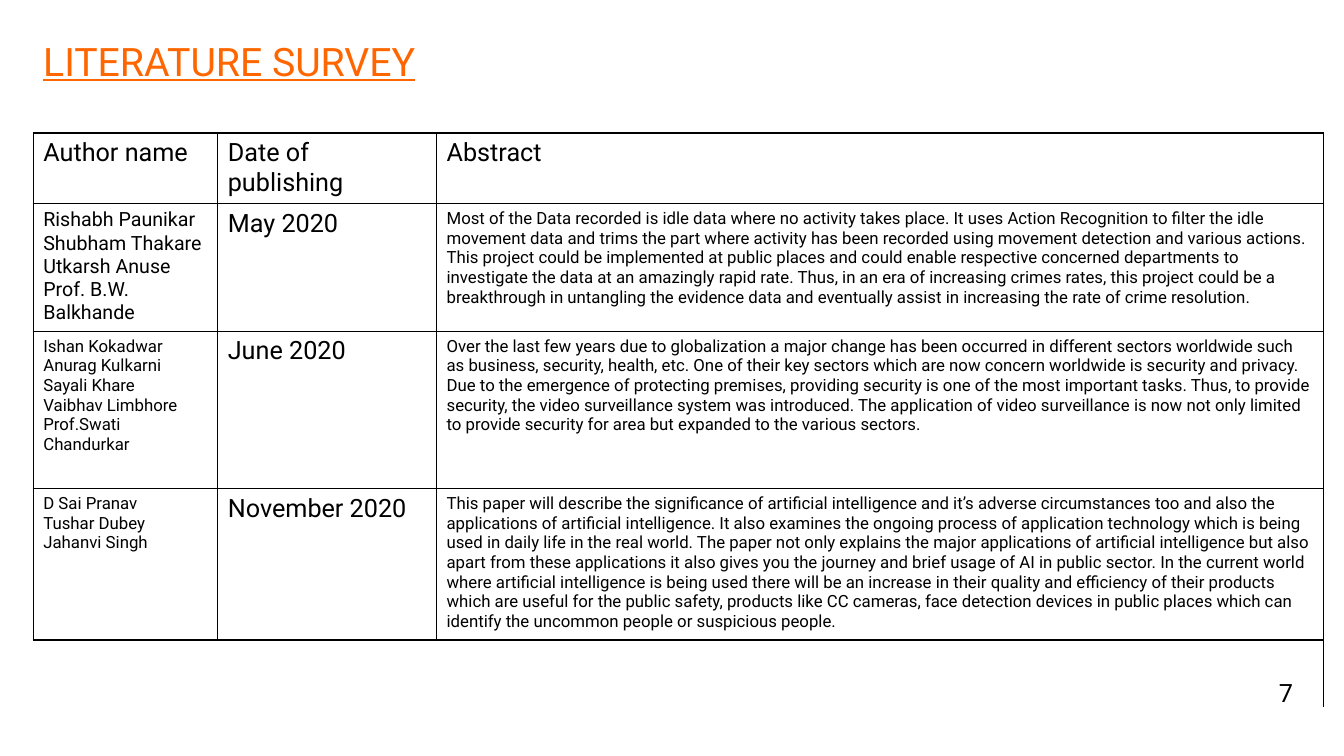
import pptx
import pptx.util
import pptx.dml.color
import pptx.enum.text
import pptx.oxml
import pptx.oxml.ns

Inches, Pt = pptx.util.Inches, pptx.util.Pt
align = pptx.enum.text.PP_ALIGN
theme = {
    "font": "Roboto", "ink": "000000", "accent": "FF6600",
    "title": 28, "head": 18, "name": 14, "body": 12, "rule": 1,
}


def write(frame, lines, size, color=theme["ink"], line=False, **form):
    for i, text in enumerate(lines):
        para = frame.paragraphs[0] if i == 0 else frame.add_paragraph()
        for key, value in form.items():
            setattr(para, key, value)
        run = para.add_run()
        run.text = text
        looks = {"name": theme["font"], "size": Pt(size), "underline": line}
        for key, value in looks.items():
            setattr(run.font, key, value)
        run.font.color.rgb = pptx.dml.color.RGBColor.from_string(color)


def border(cell, sides):
    props = cell._tc.get_or_add_tcPr()
    for side in "LRTB":
        paint = "<a:noFill/>"
        if side in sides:
            paint = f'<a:solidFill><a:srgbClr val="{theme["ink"]}"/></a:solidFill>'
        props.append(pptx.oxml.parse_xml(
            f'<a:ln{side} {pptx.oxml.ns.nsdecls("a")} w="{Pt(theme["rule"])}">'
            f'{paint}</a:ln{side}>'))


deck = pptx.Presentation()
deck.slide_width, deck.slide_height = Inches(13.33), Inches(7.5)
slide = deck.slides.add_slide(deck.slide_layouts[6])

# Title and page number
labels = [
    ((0.33, 0.17, 6.79, 0.92), "LITERATURE SURVEY", theme["title"],
     {"color": theme["accent"], "line": True, "line_spacing": 0.9}),
    ((12.43, 6.67, 0.65, 0.4), "7", theme["head"], {"alignment": align.CENTER}),
]
for place, text, size, form in labels:
    frame = slide.shapes.add_textbox(*map(Inches, place)).text_frame
    frame.word_wrap = True
    frame.vertical_anchor = pptx.enum.text.MSO_ANCHOR.MIDDLE
    write(frame, [text], size, **form)

# Survey content: authors, author type size, date, abstract
papers = [
    (["Rishabh Paunikar", "Shubham Thakare", "Utkarsh Anuse", "Prof. B.W. Balkhande"],
     theme["name"], "May 2020",
     "Most of the Data recorded is idle data where no activity takes place. It uses Action "
     "Recognition to filter the idle movement data and trims the part where activity has been "
     "recorded using movement detection and various actions. This project could be implemented "
     "at public places and could enable respective concerned departments to investigate the "
     "data at an amazingly rapid rate. Thus, in an era of increasing crimes rates, this project "
     "could be a breakthrough in untangling the evidence data and eventually assist in "
     "increasing the rate of crime resolution."),
    (["Ishan Kokadwar", "Anurag Kulkarni", "Sayali Khare", "Vaibhav Limbhore",
      "Prof.Swati Chandurkar"],
     theme["body"], "June 2020",
     "Over the last few years due to globalization a major change has been occurred in "
     "different sectors worldwide such as business, security, health, etc. One of their key "
     "sectors which are now concern worldwide is security and privacy. Due to the emergence of "
     "protecting premises, providing security is one of the most important tasks. Thus, to "
     "provide security, the video surveillance system was introduced. The application of video "
     "surveillance is now not only limited to provide security for area but expanded to the "
     "various sectors."),
    (["D Sai Pranav", "Tushar Dubey", "Jahanvi Singh"],
     theme["body"], "November 2020",
     "This paper will describe the significance of artificial intelligence and it’s adverse "
     "circumstances too and also the applications of artificial intelligence. It also examines "
     "the ongoing process of application technology which is being used in daily life in the "
     "real world. The paper not only explains the major applications of artificial intelligence "
     "but also apart from these applications it also gives you the journey and brief usage of "
     "AI in public sector. In the current world where artificial intelligence is being used "
     "there will be an increase in their quality and efficiency of their products which are "
     "useful for the public safety, products like CC cameras, face detection devices in public "
     "places which can identify the uncommon people or suspicious people."),
]
rows = [[([text], theme["head"]) for text in ("Author name", "Date of publishing", "Abstract")]]
for names, size, date, text in papers:
    rows.append([(names, size), ([date], theme["head"]), ([text], theme["body"])])

# Table grid
widths = [1.83, 2.17, 8.8, 0.37]
heights = [0.69, 1.25, 1.56, 1.47, 0.67]
table = slide.shapes.add_table(
    len(heights), len(widths), Inches(0.33), Inches(1.32),
    Inches(sum(widths)), Inches(sum(heights))).table
table.first_row = table.horz_banding = False
for col, width in zip(table.columns, widths):
    col.width = Inches(width)
for row, height in zip(table.rows, heights):
    row.height = Inches(height)

# Borders: full grid around the text, open edges below and to the right
side, foot = len(widths) - 1, len(heights) - 1
for r in range(len(heights)):
    for c in range(len(widths)):
        cell = table.cell(r, c)
        if c == side:
            edges = "L"
        elif r == foot:
            edges = "TR" if c == side - 1 else "T"
        else:
            edges = "LRTB"
        border(cell, edges)
        cell.fill.background()

# Merged side column and foot row
table.cell(0, side).merge(table.cell(foot, side))
table.cell(foot, 0).merge(table.cell(foot, side - 1))
border_cell = table.cell(foot, 0)

# Cell text
for r, row in enumerate(rows):
    for c, (lines, size) in enumerate(row):
        write(table.cell(r, c).text_frame, lines, size)

deck.save("out.pptx")
